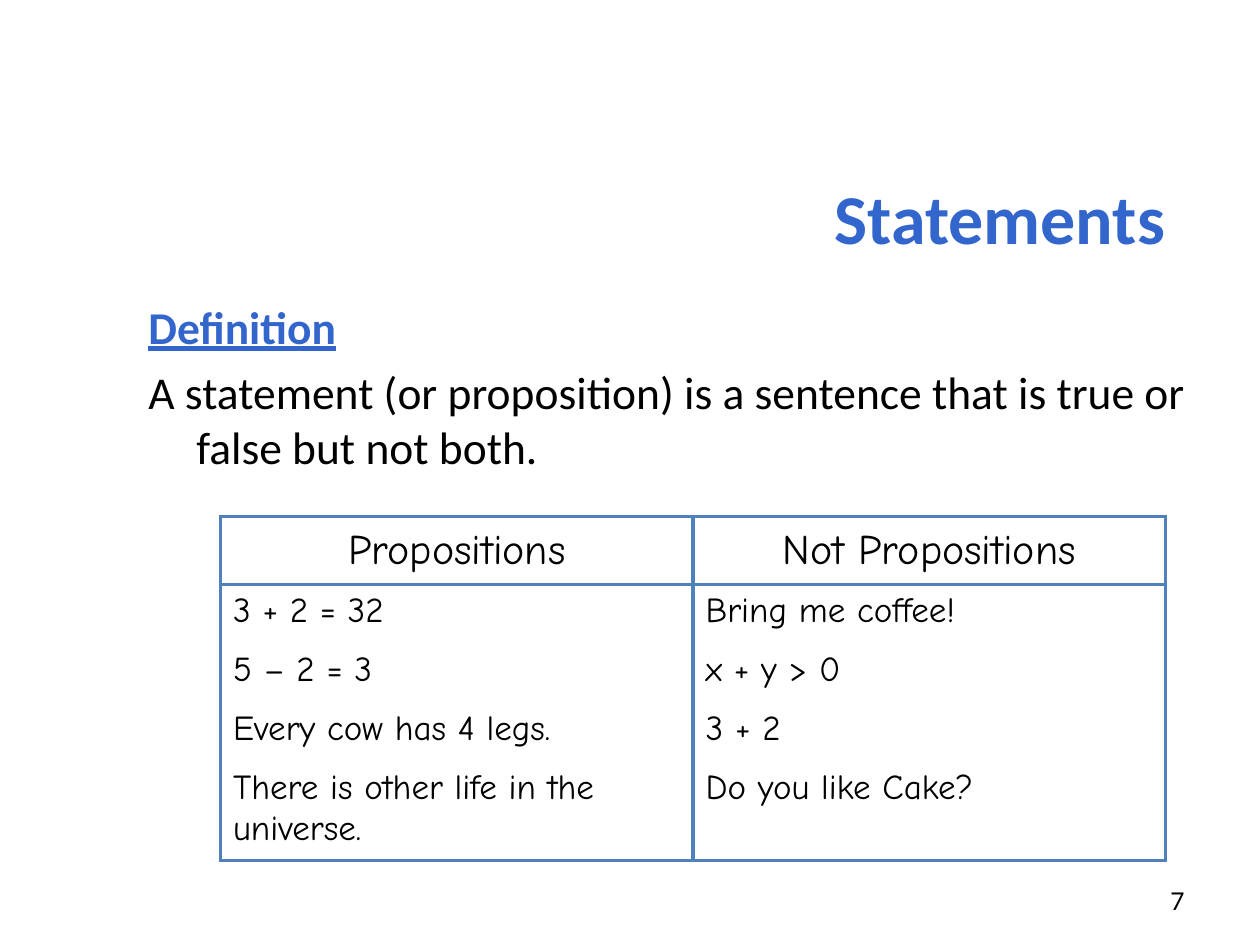
from dataclasses import dataclass

from lxml import etree
from pptx import Presentation
from pptx import util as u
from pptx.dml.color import RGBColor
from pptx.enum import text
from pptx.oxml import ns


@dataclass(frozen=True)
class Theme:
    accent: str = "3366CC"
    ink: str = "000000"
    border: str = "4F81BD"
    border_width: float = 2.21
    main_font: str = "Calibri"
    table_font: str = "Comic Neue"
    number_font: str = "Lato"
    title_size: int = 40
    body_size: int = 26
    header_size: int = 24
    cell_size: int = 20
    number_size: int = 14


def write(paragraph, words, *, font, size, color, bold=False, underline=False,
          align=text.PP_ALIGN.LEFT, before=0, hanging=0):
    """Fill one paragraph and format it."""
    if hanging:
        properties = paragraph._p.get_or_add_pPr()
        properties.set("marL", str(u.Inches(hanging)))
        properties.set("indent", str(-u.Inches(hanging)))
    paragraph.alignment = align
    paragraph.space_before = u.Pt(before)
    run = paragraph.add_run()
    run.text = words
    run.font.name = font
    run.font.size = u.Pt(size)
    run.font.bold = bold
    run.font.underline = underline
    run.font.color.rgb = RGBColor.from_string(color)


class SlideBuilder:
    def __init__(self, slide, theme):
        self.slide = slide
        self.theme = theme

    def text_box(self, left, top, width, height, anchor=text.MSO_ANCHOR.TOP):
        box = self.slide.shapes.add_textbox(*map(u.Inches, (left, top, width, height)))
        frame = box.text_frame
        frame.word_wrap = True
        frame.vertical_anchor = anchor
        return frame

    def cell_borders(self, cell, visible):
        properties = cell._tc.get_or_add_tcPr()
        for position, side in enumerate("LRTB"):
            line = etree.Element(ns.qn(f"a:ln{side}"))
            if side in visible:
                line.set("w", str(u.Pt(self.theme.border_width)))
                fill = etree.SubElement(line, ns.qn("a:solidFill"))
                etree.SubElement(fill, ns.qn("a:srgbClr"), val=self.theme.border)
            else:
                etree.SubElement(line, ns.qn("a:noFill"))
            properties.insert(position, line)

    def table(self, left, top, column_widths, row_heights, rows):
        theme = self.theme
        frame = self.slide.shapes.add_table(
            len(rows), len(column_widths), u.Inches(left), u.Inches(top),
            u.Inches(sum(column_widths)), u.Inches(sum(row_heights)))
        table = frame.table
        table.first_row = False
        table.horz_banding = False
        for column, width in zip(table.columns, column_widths):
            column.width = u.Inches(width)
        for row, height in zip(table.rows, row_heights):
            row.height = u.Inches(height)

        # The header is boxed; the body is one open block per column
        for row_index, row in enumerate(rows):
            header = row_index == 0
            visible = "LR"
            if row_index <= 1:
                visible += "T"
            if header or row_index == len(rows) - 1:
                visible += "B"
            for column_index, words in enumerate(row):
                cell = table.cell(row_index, column_index)
                cell.fill.background()
                cell.vertical_anchor = text.MSO_ANCHOR.MIDDLE if header else text.MSO_ANCHOR.TOP
                self.cell_borders(cell, visible)
                write(cell.text_frame.paragraphs[0], words,
                      font=theme.table_font, color=theme.ink,
                      size=theme.header_size if header else theme.cell_size,
                      align=text.PP_ALIGN.CENTER if header else text.PP_ALIGN.LEFT)


def main():
    presentation = Presentation()
    presentation.slide_width = u.Inches(10)
    presentation.slide_height = u.Inches(7.5)
    theme = Theme()
    builder = SlideBuilder(presentation.slides.add_slide(presentation.slide_layouts[6]), theme)

    # Title
    title = builder.text_box(0.47, 1.09, 9, 1.25, text.MSO_ANCHOR.MIDDLE)
    write(title.paragraphs[0], "Statements ", font=theme.main_font, size=theme.title_size,
          color=theme.accent, bold=True, align=text.PP_ALIGN.RIGHT)

    # Definition
    body = builder.text_box(1.08, 2.32, 9, 3.85)
    write(body.paragraphs[0], "Definition", font=theme.main_font, size=theme.body_size,
          color=theme.accent, bold=True, underline=True, hanging=0.38)
    write(body.add_paragraph(),
          "A statement (or proposition) is a sentence that is true or false but not both.",
          font=theme.main_font, size=theme.body_size, color=theme.ink,
          before=6.5, hanging=0.38)

    # Slide number
    number = builder.text_box(7.17, 6.95, 2.33, 0.4, text.MSO_ANCHOR.MIDDLE)
    write(number.paragraphs[0], "7", font=theme.number_font, size=theme.number_size,
          color=theme.ink, align=text.PP_ALIGN.RIGHT)

    # Examples
    builder.table(1.75, 4.1, [3.75] * 2, [0.54, 0.47, 0.47, 0.47, 0.78], [
        ("Propositions", "Not Propositions"),
        ("3 + 2 = 32", "Bring me coffee!"),
        ("5 – 2 = 3", "x + y > 0"),
        ("Every cow has 4 legs.", "3 + 2"),
        ("There is other life in the universe.", "Do you like Cake?"),
    ])

    presentation.save("out.pptx")


if __name__ == "__main__":
    main()
